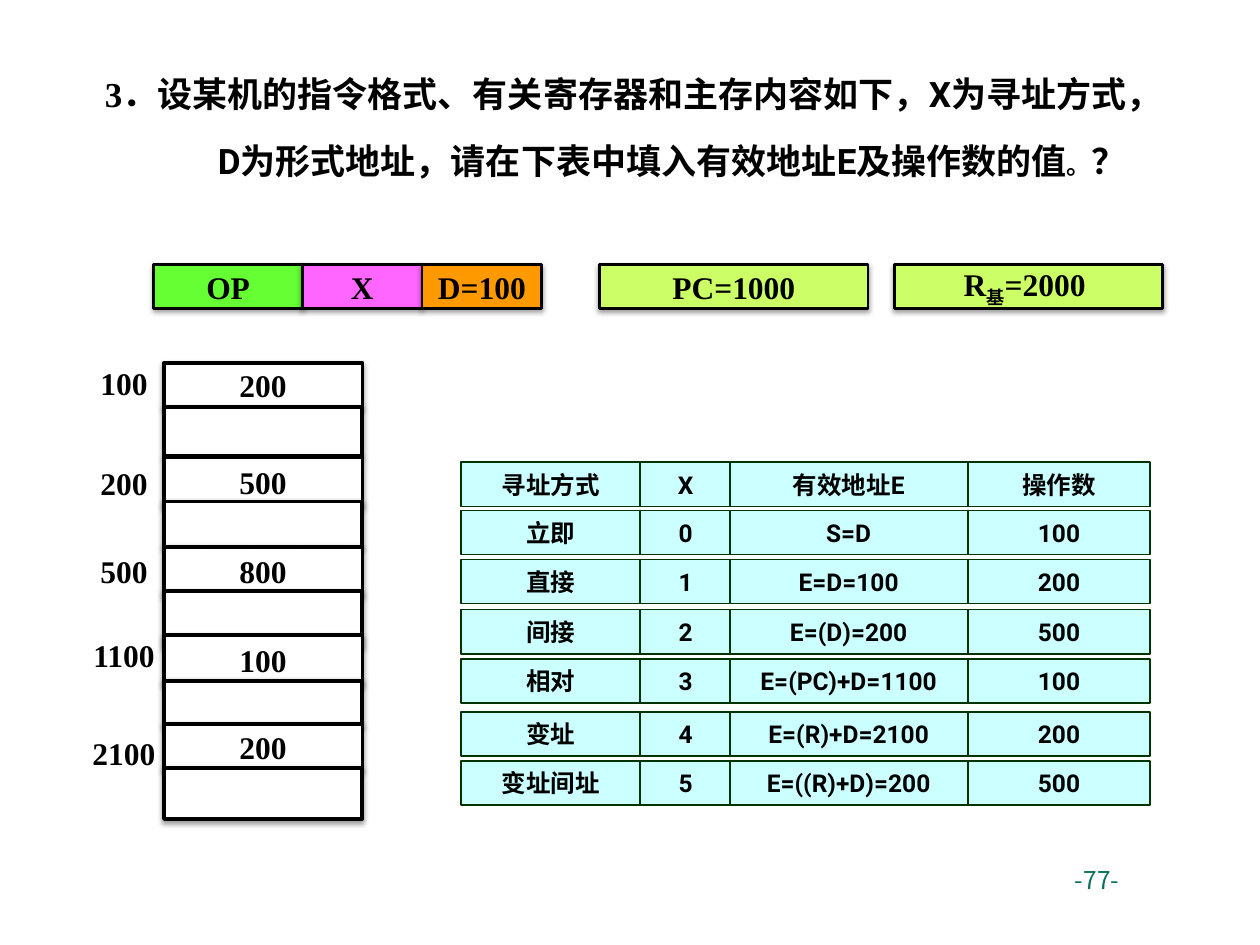
from lxml import etree
from pptx import Presentation
from pptx.dml.color import RGBColor
from pptx.enum.shapes import MSO_SHAPE as Shape
from pptx.enum.text import MSO_ANCHOR as Anchor, PP_ALIGN as Align
from pptx.oxml import parse_xml
from pptx.oxml.ns import nsdecls, qn
from pptx.util import Cm, Pt

COLORS = {
    "black": "000000", "white": "FFFFFF", "green": "66FF33", "pink": "FF66FF",
    "orange": "FF9900", "lime": "CCFF66", "cyan": "CCFFFF",
    "border": "003300", "number": "0D7157",
}
SERIF, SANS, CJK = "Times New Roman", "Roboto", "Noto Sans CJK SC"
SHADOW = (f'<a:outerShdw {nsdecls("a")} blurRad="39370" dist="20320" dir="5400000" '
          'rotWithShape="0"><a:srgbClr val="000000"><a:alpha val="38000"/>'
          '</a:srgbClr></a:outerShdw>')


def add_span(para, text, font, size, color="black", bold=True):
    span = para.add_run()
    span.text = text
    span.font.name = font
    span.font.size = Pt(size)
    span.font.bold = bold
    span.font.color.rgb = RGBColor.from_string(COLORS[color])
    etree.SubElement(span.font._element, qn("a:ea")).set("typeface", CJK)
    return span


def add_cell(bounds, fill, line, width, shadow=True):
    cell = page.shapes.add_shape(Shape.RECTANGLE, *[Cm(n) for n in bounds])
    cell.fill.solid()
    cell.fill.fore_color.rgb = RGBColor.from_string(COLORS[fill])
    cell.line.color.rgb = RGBColor.from_string(COLORS[line])
    cell.line.width = Pt(width)
    cell.shadow.inherit = False
    if shadow:
        effects = cell._element.spPr.find(qn("a:effectLst"))
        effects.append(parse_xml(SHADOW))
    cell.text_frame.word_wrap = not shadow
    cell.text_frame.vertical_anchor = Anchor.MIDDLE
    para = cell.text_frame.paragraphs[0]
    para.alignment = Align.CENTER
    return para


deck = Presentation()
deck.slide_width, deck.slide_height = Cm(25.4), Cm(19.05)
page = deck.slides.add_slide(deck.slide_layouts[6])

# Main memory: a value cell followed by an empty cell for each address
memory = [  # address, label top, value, value top, height, empty top, height
    ("100", 7.21, "200", 7.32, 0.89, 8.2, 0.99),
    ("200", 9.22, "500", 9.22, 0.99, 10.11, 0.91),
    ("500", 11, "800", 11.02, 0.99, 11.91, 1.12),
    ("1100", 12.7, "100", 12.8, 0.99, 13.72, 0.91),
    ("2100", 14.68, "200", 14.6, 0.91, 15.49, 1.02),
]
for address, label_top, value, top, height, empty_top, empty_height in memory:
    para = add_cell((3.3, top, 4.01, height), "white", "black", 2.25)
    add_span(para, value, SERIF, 18)
    add_cell((3.31, empty_top, 3.99, empty_height), "white", "black", 2.25)
    label_width = 1.6 if len(address) == 3 else 2.4
    box = page.shapes.add_textbox(Cm(2.5 - label_width / 2), Cm(label_top),
                                  Cm(label_width), Cm(1.02))
    box.text_frame.word_wrap = True
    para = box.text_frame.paragraphs[0]
    para.alignment = Align.CENTER
    add_span(para, address, SERIF, 18)

# Instruction format and registers
fields = [
    (3.1, 3, "green", ["OP"]),
    (6.1, 2.41, "pink", ["X"]),
    (8.51, 2.41, "orange", ["D=100"]),
    (12.09, 5.41, "lime", ["PC=1000"]),
    (18.03, 5.41, "lime", ["R", "基", "=2000 "]),
]
for left, width, fill, parts in fields:
    para = add_cell((left, 5.33, width, 0.89), fill, "black", 1.5)
    for part in parts:
        span = add_span(para, part, SERIF, 18)
        if part == "基":
            span.font._element.set("baseline", "-25000")

# Addressing modes: separate strips, with the address column in front
row_tops = [9.32, 10.29, 11.28, 12.29, 13.28, 14.35, 15.34]
columns = [
    (9.3, 3.61, ["寻址方式", "立即", "直接", "间接", "相对", "变址", "变址间址"]),
    (12.9, 1.85, ["X", "0", "1", "2", "3", "4", "5"]),
    (19.51, 3.68, ["操作数", "100", "200", "500", "100", "200", "500"]),
    (14.71, 4.8, ["有效地址E", "S=D", "E=D=100", "E=(D)=200", "E=(PC)+D=1100",
                  "E=(R)+D=2100", "E=((R)+D)=200"]),
]
for left, width, entries in columns:
    for top, entry in zip(row_tops, entries):
        para = add_cell((left, top, width, 0.89), "cyan", "border", 1, shadow=False)
        add_span(para, entry, SANS, 14)

# Question
box = page.shapes.add_textbox(Cm(0.89), Cm(0.71), Cm(22.07), Cm(3.2))
frame = box.text_frame
frame.word_wrap = True
frame.vertical_anchor = Anchor.MIDDLE
frame.margin_top = frame.margin_bottom = Cm(0.23)
para = frame.paragraphs[0]
para.alignment = Align.RIGHT
para.line_spacing = 1.6
para._p.get_or_add_pPr().set("indent", str(Cm(0.76)))
add_span(para, "3．", SERIF, 20)
add_span(para, "设某机的指令格式、有关寄存器和主存内容如下，X为寻址方式，"
               "D为形式地址，请在下表中填入有效地址E及操作数的值", SANS, 20)
add_span(para, "。", SANS, 14)
add_span(para, "？", SERIF, 20)

# Page number
box = page.shapes.add_textbox(Cm(21.31), Cm(17.32), Cm(2.82), Cm(1.32))
box.text_frame.word_wrap = True
add_span(box.text_frame.paragraphs[0], " -77-", CJK, 14, "number", bold=False)

deck.save("out.pptx")
